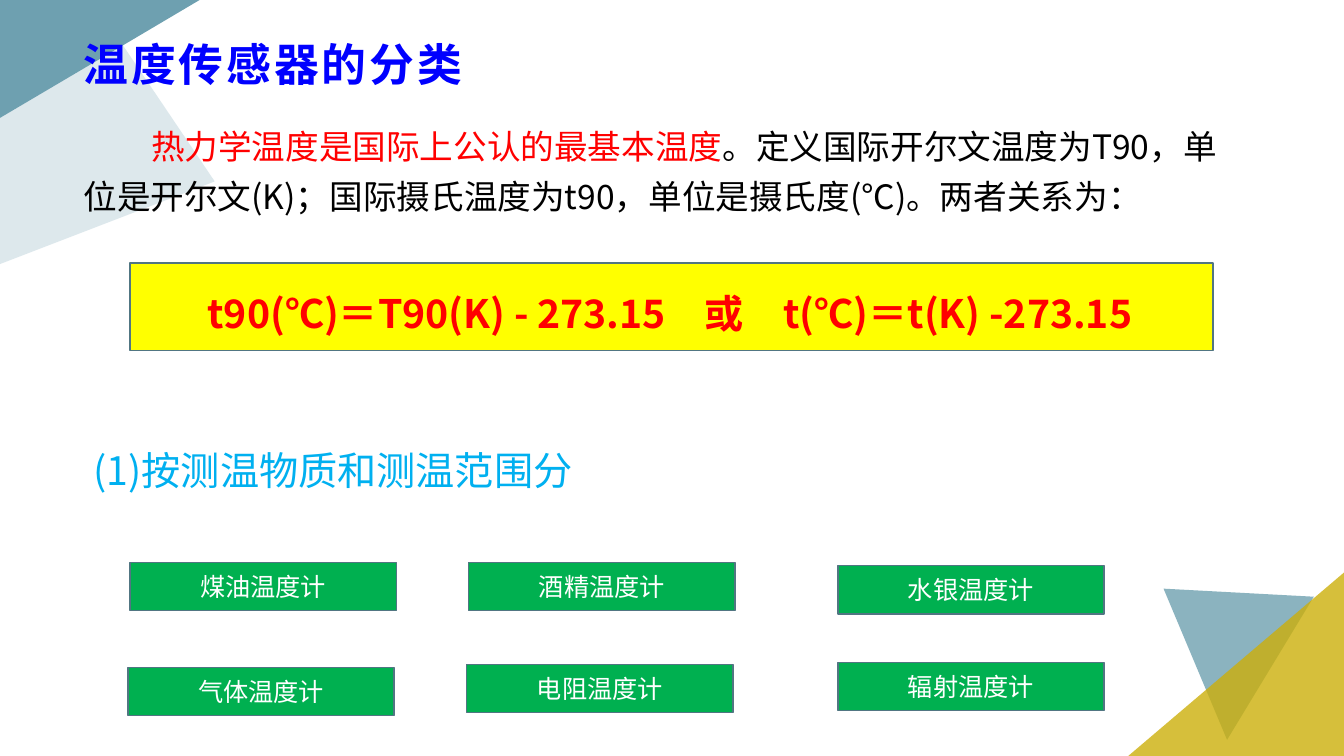
from lxml import etree
from pptx import Presentation
from pptx.dml.color import RGBColor
from pptx.enum.lang import MSO_LANGUAGE_ID
from pptx.enum.shapes import MSO_SHAPE
from pptx.enum.text import MSO_ANCHOR, MSO_AUTO_SIZE, PP_ALIGN
from pptx.oxml.ns import qn
from pptx.util import Inches, Pt

RECTANGLE = MSO_SHAPE.RECTANGLE
MIDDLE = MSO_ANCHOR.MIDDLE
FIT_SHAPE = MSO_AUTO_SIZE.SHAPE_TO_FIT_TEXT
CENTER = PP_ALIGN.CENTER
CHINESE = MSO_LANGUAGE_ID.SIMPLIFIED_CHINESE

FONT = "Noto Sans CJK SC"
RED, GREEN, YELLOW, WHITE = "FF0000", "00B050", "FFFF00", "FFFFFF"
TEAL, EDGE = "6EA0B0", "517682"

# Corner decorations: points, colour, opacity in percent
CORNERS = [
    ([(13.03, 5.92), (12.17, 7.34), (11.54, 5.84)], TEAL, 80),
    ([(13.33, 7.5), (11.19, 7.5), (13.33, 5.68)], "CCAF0A", 80),
    ([(0, 2.62), (2.13, 1.8), (1.22, 0.45), (0, 1.17)], "A8C6D0", 39),
    ([(0, 0), (0, 1.17), (1.22, 0.45), (1.98, 0)], TEAL, 100),
]

THERMOMETERS = [
    ("煤油温度计", 1.29, 5.58),
    ("酒精温度计", 4.65, 5.58),
    ("水银温度计", 8.31, 5.61),
    ("气体温度计", 1.27, 6.62),
    ("电阻温度计", 4.63, 6.59),
    ("辐射温度计", 8.31, 6.57),
]


def paint(color_format, color):
    color_format.rgb = RGBColor.from_string(color)


def fill_shape(shape, color):
    shape.shadow.inherit = False
    shape.fill.solid()
    paint(shape.fill.fore_color, color)


def add_corner(page, points, color, opacity):
    corners = [(Inches(x), Inches(y)) for x, y in points]
    builder = page.shapes.build_freeform(*corners[0], scale=1.0)
    builder.add_line_segments(corners[1:], close=True)
    shape = builder.convert_to_shape()
    fill_shape(shape, color)
    shape.line.fill.background()
    if opacity < 100:
        tint = shape.fill._xPr.find(".//" + qn("a:srgbClr"))
        etree.SubElement(tint, qn("a:alpha"), val=str(opacity * 1000))


def add_span(para, text, size, color, bold=False, font=FONT, spacing=0):
    """Add one run; spacing is the letter spacing in points."""
    span = para.add_run()
    span.text = text
    span.font.size = Pt(size)
    span.font.bold = bold
    span.font.name = font
    span.font.language_id = CHINESE
    paint(span.font.color, color)
    properties = span.font._element
    if spacing:
        properties.set("spc", str(spacing * 100))
    latin = properties.find(qn("a:latin"))
    latin.addnext(latin.makeelement(qn("a:ea"), {"typeface": FONT}))


def set_layout(para, spacing, indent=0):
    """Set line spacing and the first-line indent in inches."""
    para.line_spacing = spacing
    if indent:
        properties = para._p.get_or_add_pPr()
        properties.set("marL", "0")
        properties.set("indent", str(Inches(indent)))


def add_text_box(page, left, top, width, height, wrap=True):
    box = page.shapes.add_textbox(
        Inches(left), Inches(top), Inches(width), Inches(height))
    box.text_frame.word_wrap = wrap
    return box.text_frame


def add_panel(page, left, top, width, height, color):
    panel = page.shapes.add_shape(
        RECTANGLE, Inches(left), Inches(top), Inches(width), Inches(height))
    fill_shape(panel, color)
    paint(panel.line.color, EDGE)
    panel.line.width = Pt(1)
    panel.text_frame.word_wrap = True
    panel.text_frame.vertical_anchor = MIDDLE
    return panel.text_frame.paragraphs[0]


def add_title(page):
    para = add_text_box(page, 0.73, 0.38, 11.87, 0.48).paragraphs[0]
    set_layout(para, 0.9)
    add_span(para, "温度传感器的分类", 32, "0000FF", True, "Arial", 2)


def add_definition(page):
    frame = add_text_box(page, 0.73, 1.1, 11.45, 2.5)
    frame.auto_size = FIT_SHAPE
    para = frame.paragraphs[0]
    set_layout(para, 1.25, 0.67)
    add_span(para, "热力学温度是国际上公认的最基本温度", 24, RED)
    add_span(para, "。定义国际开尔文温度为T90，单位是开尔文(K)；"
             "国际摄氏温度为t90，单位是摄氏度(℃)。两者关系为：", 24, "000000")


def add_formula(page):
    para = add_panel(page, 1.29, 2.61, 10.74, 0.87, YELLOW)
    para.alignment = PP_ALIGN.LEFT
    set_layout(para, 1.25, 0.67)
    add_span(para, "t90(℃)＝T90(K) - 273.15　或　t(℃)＝t(K) -273.15", 28, RED, True)


def add_heading(page):
    frame = add_text_box(page, 0.33, 4.26, 5.62, 0.69, wrap=False)
    frame.auto_size = FIT_SHAPE
    para = frame.paragraphs[0]
    set_layout(para, 1.25, 0.5)
    add_span(para, "(1)按测温物质和测温范围分", 28, "00B0F0")


def add_thermometer(page, name, left, top):
    para = add_panel(page, left, top, 2.64, 0.48, GREEN)
    para.alignment = CENTER
    add_span(para, name, 18, WHITE)


def main():
    deck = Presentation()
    deck.slide_width, deck.slide_height = Inches(13.33), Inches(7.5)
    page = deck.slides.add_slide(deck.slide_layouts[6])
    for points, color, opacity in CORNERS:
        add_corner(page, points, color, opacity)
    add_title(page)
    add_definition(page)
    add_formula(page)
    for name, left, top in THERMOMETERS:
        add_thermometer(page, name, left, top)
    add_heading(page)
    deck.save("out.pptx")


if __name__ == "__main__":
    main()
